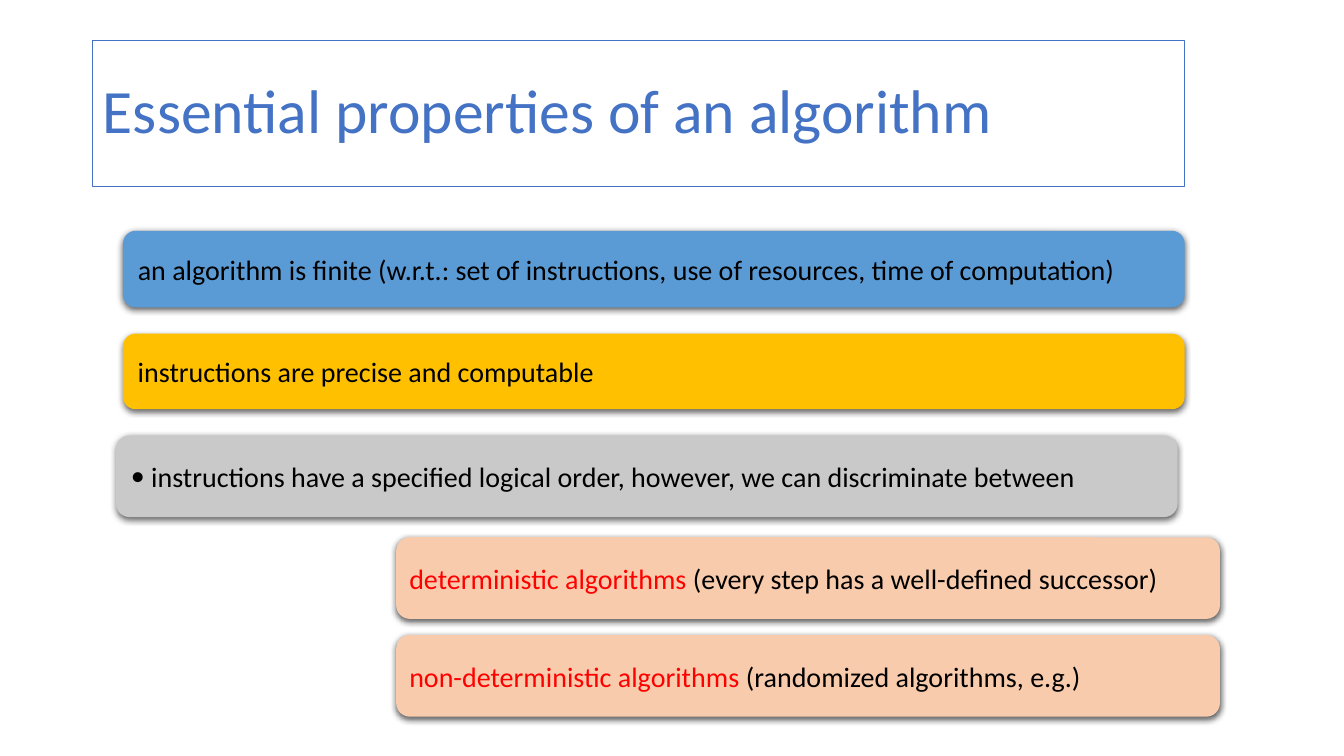
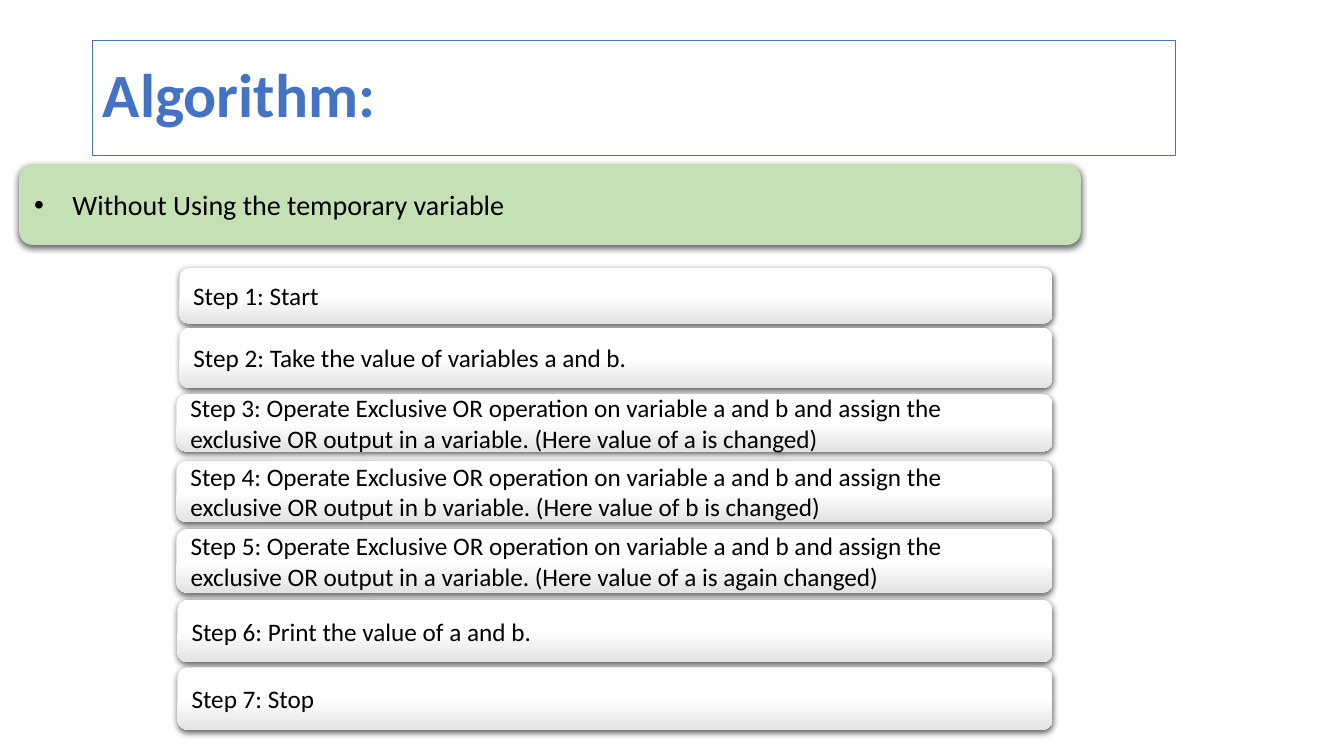
from dataclasses import dataclass

from lxml import etree
from pptx import Presentation
from pptx.dml.color import RGBColor
from pptx.enum.shapes import MSO_SHAPE
from pptx.enum.text import MSO_ANCHOR, MSO_AUTO_SIZE, PP_ALIGN
from pptx.oxml.ns import qn
from pptx.util import Inches, Pt

ROUND = MSO_SHAPE.ROUNDED_RECTANGLE
MIDDLE = MSO_ANCHOR.MIDDLE
FIXED = MSO_AUTO_SIZE.NONE
LEFT = PP_ALIGN.LEFT

FONT = "Calibri"
TITLE = "4472C4"
BLACK, RED, WHITE = "000000", "FF0000", "FFFFFF"
BLUE, GOLD, GRAY = "5B9BD5", "FFC000", "C9C9C9"
PEACH, GREEN, SHADE = "F8CBAD", "C5E0B4", "E3E3E3"
EDGE = 10.44  # right edge of the steps


@dataclass
class Bar:
    left: float
    top: float
    width: float
    height: float
    text: str
    fill: str = ""  # empty means the white-to-gray shade
    size: int = 20
    lead: str = ""  # opening words in red
    indent: float = 0  # hanging indent of a bullet
    face: str = "Arial"  # bullet font
    inset: float = 0.11  # left text margin


@dataclass
class Page:
    title: str
    width: float
    height: float
    bold: bool
    bars: list[Bar]


def color(code: str) -> RGBColor:
    return RGBColor.from_string(code)


def write(para, text: str, *, size: int, ink: str = BLACK, bold: bool = False) -> None:
    run = para.add_run()
    run.text = text
    font = run.font
    font.name, font.size, font.bold = FONT, Pt(size), bold
    font.color.rgb = color(ink)


def bullet(para, indent: float, face: str) -> None:
    props = para._p.get_or_add_pPr()
    props.set("marL", str(Inches(indent)))
    props.set("indent", str(-Inches(indent)))
    etree.SubElement(props, qn("a:buFont"), typeface=face)
    etree.SubElement(props, qn("a:buChar"), char="•")


def shadow(shape) -> None:
    shape.shadow.inherit = False
    effects = shape._element.spPr.find(qn("a:effectLst"))
    outer = etree.SubElement(effects, qn("a:outerShdw"), blurRad=str(Pt(4.5)),
                             dist=str(Pt(1.5)), dir="5400000", rotWithShape="0")
    tint = etree.SubElement(outer, qn("a:srgbClr"), val=BLACK)
    etree.SubElement(tint, qn("a:alpha"), val="63000")


def paint(fill, code: str) -> None:
    if code:
        fill.solid()
        fill.fore_color.rgb = color(code)
        return
    fill.gradient()
    fill.gradient_angle = 270
    for stop, place, tone in zip(fill.gradient_stops, (0.5, 1), (WHITE, SHADE)):
        stop.position = place
        stop.color.rgb = color(tone)


def draw_bar(slide, bar: Bar) -> None:
    shape = slide.shapes.add_shape(ROUND, Inches(bar.left), Inches(bar.top),
                                   Inches(bar.width), Inches(bar.height))
    paint(shape.fill, bar.fill)
    shape.line.fill.background()
    shadow(shape)
    frame = shape.text_frame
    frame.word_wrap = True
    frame.vertical_anchor = MIDDLE
    frame.margin_left, frame.margin_right = Inches(bar.inset), Inches(0.2)
    frame.margin_top = frame.margin_bottom = 0
    para = frame.paragraphs[0]
    para.alignment = LEFT
    if bar.indent:
        bullet(para, bar.indent, bar.face)
    if bar.lead:
        write(para, bar.lead, size=bar.size, ink=RED)
    write(para, bar.text, size=bar.size)


def draw_title(slide, page: Page) -> None:
    title = slide.shapes.title
    title.left, title.top = Inches(0.92), Inches(0.4)
    title.width, title.height = Inches(page.width), Inches(page.height)
    title.line.color.rgb = color(TITLE)
    title.line.width = Pt(0.75)
    frame = title.text_frame
    frame.auto_size = FIXED
    frame.word_wrap = True
    frame.vertical_anchor = MIDDLE
    para = frame.paragraphs[0]
    para.alignment = LEFT
    para.line_spacing = 0.9
    write(para, page.title, size=44, ink=TITLE, bold=page.bold)


def step(num: int, left: float, top: float, height: float, text: str) -> Bar:
    return Bar(left, top, EDGE - left, height, f"Step {num}: {text}", size=18)


def assign(name: str, change: str) -> str:
    return ("Operate Exclusive OR operation on variable a and b and assign the "
            f"exclusive OR output in {name} variable. (Here value of {name} is {change})")


STEPS = [
    (1.78, 2.66, 0.55, "Start"),
    (1.78, 3.25, 0.6, "Take the value of variables a and b."),
    (1.75, 3.91, 0.57, assign("a", "changed")),
    (1.75, 4.57, 0.61, assign("b", "changed")),
    (1.75, 5.25, 0.63, assign("a", "again changed")),
    (1.76, 5.95, 0.62, "Print the value of a and b."),
    (1.76, 6.62, 0.62, "Stop"),
]

PAGES = [
    Page("Essential properties of an algorithm", 10.83, 1.45, False, [
        Bar(1.22, 2.29, 10.53, 0.76,
            "an algorithm is finite (w.r.t.: set of instructions, use of resources, "
            "time of computation)", BLUE),
        Bar(1.22, 3.31, 10.53, 0.75, "instructions are precise and computable", GOLD),
        Bar(1.15, 4.32, 10.53, 0.81,
            "instructions have a specified logical order, however, we can "
            "discriminate between", GRAY, indent=0.2, face=FONT),
        Bar(3.93, 5.33, 8.17, 0.81, "(every step has a well-defined successor)",
            PEACH, lead="deterministic algorithms ", inset=0.09),
        Bar(3.93, 6.3, 8.17, 0.81, "(randomized algorithms, e.g.)",
            PEACH, lead="non-deterministic algorithms ", inset=0.09),
    ]),
    Page("Algorithm:", 10.74, 1.14, True, [
        Bar(0.19, 1.63, 10.53, 0.8, "Without Using the temporary variable",
            GREEN, indent=0.38),
        *(step(num, *row) for num, row in enumerate(STEPS, 1)),
    ]),
]


def main() -> None:
    deck = Presentation()
    deck.slide_width, deck.slide_height = Inches(13.33), Inches(7.5)
    layout = deck.slide_layouts[5]  # title only
    for page in PAGES:
        slide = deck.slides.add_slide(layout)
        draw_title(slide, page)
        for bar in page.bars:
            draw_bar(slide, bar)
    deck.save("out.pptx")


if __name__ == "__main__":
    main()
